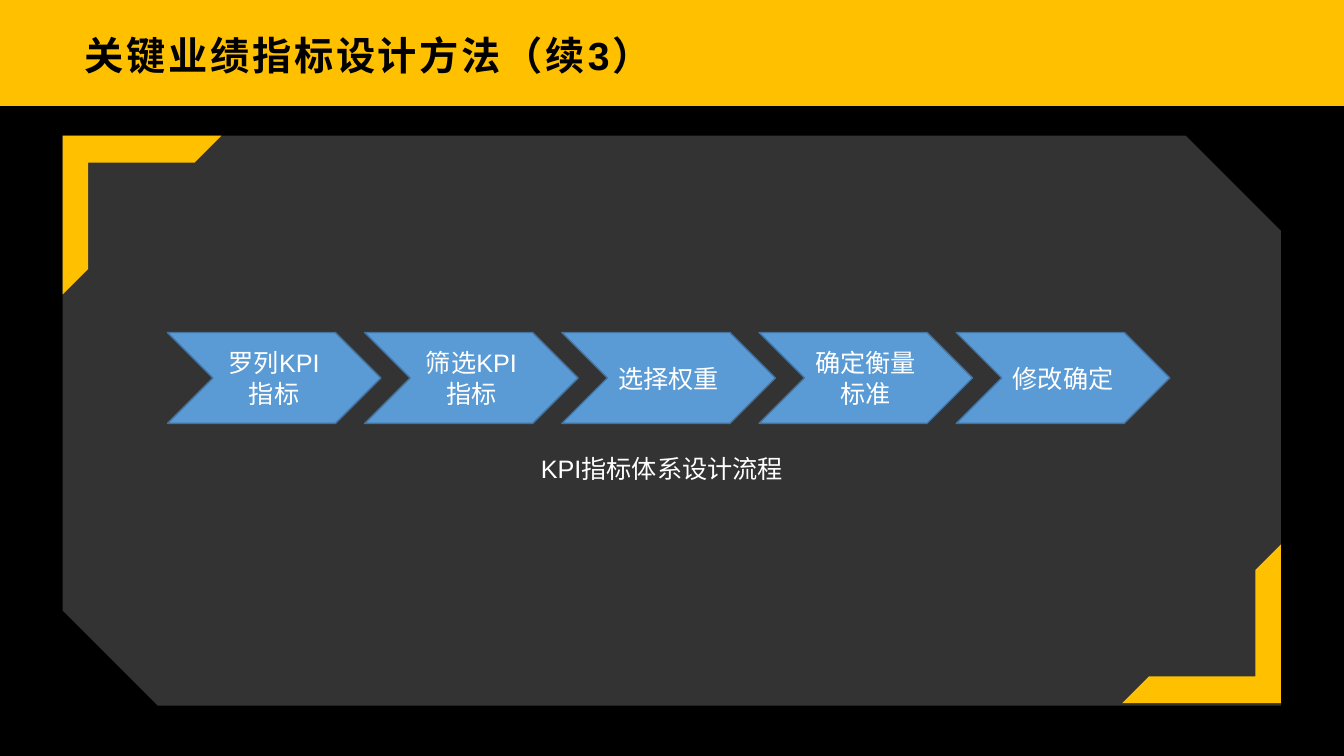
import pptx
import pptx.util
import pptx.dml.color
import pptx.enum.shapes
import pptx.enum.text
import pptx.oxml.ns
from lxml import etree

Cm = pptx.util.Cm
Pt = pptx.util.Pt
KIND = pptx.enum.shapes.MSO_SHAPE
ALIGN = pptx.enum.text.PP_ALIGN
ANCHOR = pptx.enum.text.MSO_ANCHOR
FIT = pptx.enum.text.MSO_AUTO_SIZE

HUES = {"gold": "FFC000", "black": "000000", "white": "FFFFFF",
        "blue": "5B9BD5", "edge": "43739E"}
STEPS = ["罗列KPI指标", "筛选KPI指标", "选择权重", "确定衡量标准", "修改确定"]
BODY = {"name": "Arial", "size": Pt(18), "bold": False}
HEAD = {"name": "Arial", "size": Pt(28), "bold": True}


def hue(name):
    return pptx.dml.color.RGBColor.from_string(HUES[name])


def style(thing, values):
    for key, value in values.items():
        setattr(thing, key, value)


def write(frame, text, font, color, align):
    """Fill a text frame with one styled run and return the run."""
    para = frame.paragraphs[0]
    para.alignment = align
    run = para.add_run()
    run.text = text
    style(run.font, font)
    run.font.color.rgb = hue(color)
    return run


def add_form(shapes, kind, box, color, alpha=None):
    """Add a filled shape without outline; alpha is its opacity in percent."""
    form = shapes.add_shape(kind, *map(Cm, box))
    form.shadow.inherit = False
    form.fill.solid()
    form.fill.fore_color.rgb = hue(color)
    form.line.fill.background()
    if alpha is not None:
        tint = form.fill._xPr.find(".//" + pptx.oxml.ns.qn("a:srgbClr"))
        etree.SubElement(tint, pptx.oxml.ns.qn("a:alpha"), val=str(alpha * 1000))
    return form


def set_back(slide):
    """Gold band over black, as a gradient with a hard edge."""
    fill = slide.background.fill
    fill.gradient()
    fill.gradient_angle = 270
    for stop, color in zip(fill.gradient_stops, ("gold", "black")):
        stop.position = 0.14
        stop.color.rgb = hue(color)


def set_title(slide, text):
    title = slide.shapes.title
    style(title, {"left": Cm(1.85), "top": Cm(0.48),
                  "width": Cm(30.15), "height": Cm(1.8)})
    frame = title.text_frame
    style(frame, {"word_wrap": True, "auto_size": FIT.NONE,
                  "vertical_anchor": ANCHOR.MIDDLE,
                  "margin_left": Cm(0.28), "margin_right": Cm(0.2),
                  "margin_top": Cm(0.1), "margin_bottom": Cm(0.1)})
    run = write(frame, text, HEAD, "black", ALIGN.LEFT)
    run.font._element.set("spc", "200")


def add_flow(slide, steps):
    group = slide.shapes.add_group_shape()
    for i, text in enumerate(steps):
        box = (4.22 + 4.97 * i, 8.38, 5.38, 2.29)
        step = add_form(group.shapes, KIND.CHEVRON, box, "blue")
        step.line.color.rgb = hue("edge")
        step.line.width = Pt(1)
        style(step.text_frame, {"word_wrap": True,
                                "vertical_anchor": ANCHOR.MIDDLE})
        write(step.text_frame, text, BODY, "white", ALIGN.CENTER)


def add_label(slide, text, box):
    frame = slide.shapes.add_textbox(*map(Cm, box)).text_frame
    style(frame, {"word_wrap": True, "auto_size": FIT.SHAPE_TO_FIT_TEXT})
    write(frame, text, BODY, "white", ALIGN.LEFT)


def add_corner(slide, left, top, turn):
    corner = add_form(slide.shapes, KIND.HALF_FRAME, (left, top, 4, 4), "gold")
    corner.rotation = turn
    corner.adjustments[0] = 0.169
    corner.adjustments[1] = 0.161


def main():
    deck = pptx.Presentation()
    style(deck, {"slide_width": Cm(33.87), "slide_height": Cm(19.05)})
    slide = deck.slides.add_slide(deck.slide_layouts[5])
    set_back(slide)
    set_title(slide, "关键业绩指标设计方法（续3）")
    add_form(slide.shapes, KIND.SNIP_2_DIAG_RECTANGLE,
             (1.58, 3.42, 30.7, 14.36), "white", 20)
    add_flow(slide, STEPS)
    add_label(slide, "KPI指标体系设计流程", (13.38, 11.3, 7.04, 1.02))
    add_corner(slide, 28.28, 13.72, 180)
    add_corner(slide, 1.58, 3.42, 0)
    deck.save("out.pptx")


if __name__ == "__main__":
    main()
